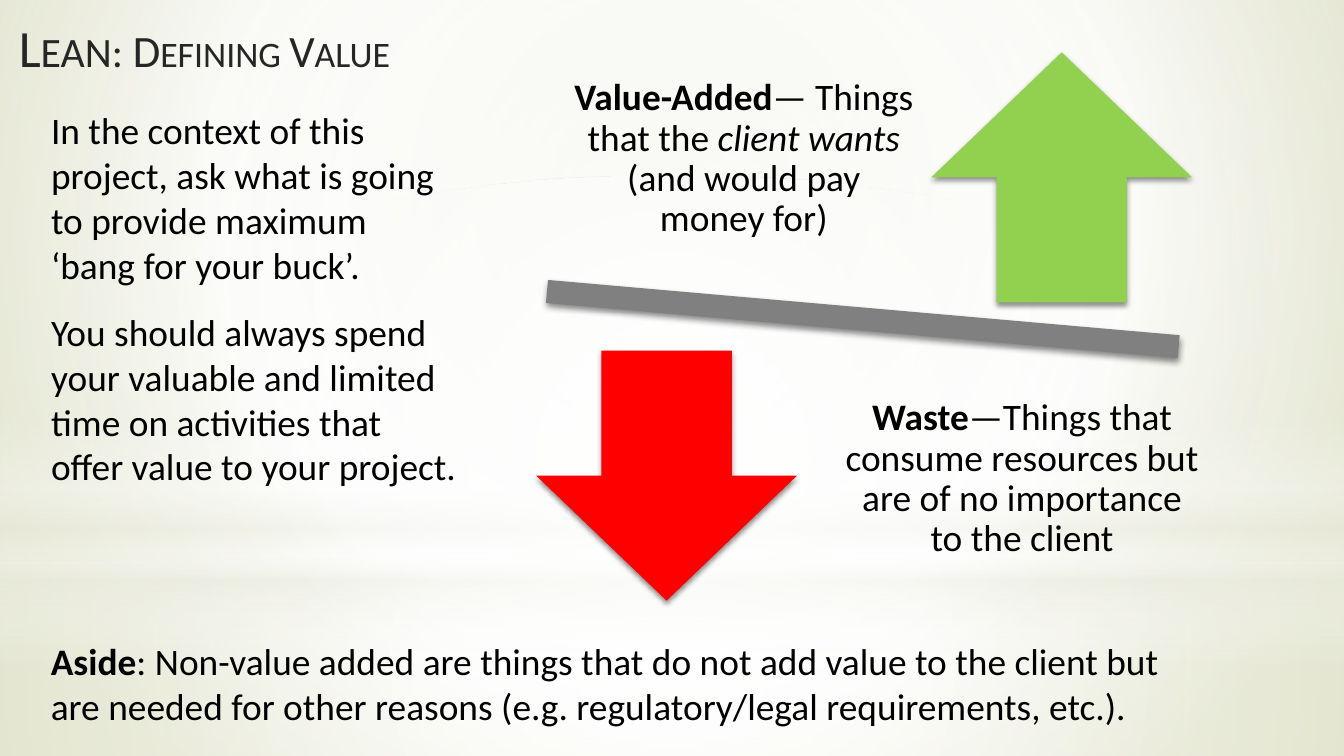
from lxml.etree import SubElement
from pptx import Presentation
from pptx.dml.color import RGBColor
from pptx.enum.shapes import MSO_SHAPE
from pptx.enum.text import MSO_ANCHOR, MSO_AUTO_SIZE, PP_ALIGN
from pptx.oxml.ns import qn
from pptx.util import Inches, Pt

COLORS = {
    "text": "000000", "title": "262626", "white": "FFFFFF", "mist": "EAEBDE",
    "sage": "E3E5D1", "olive": "CCD09F", "beam": "808080",
    "value": "92D050", "waste": "FF0000",
}
FONT = "Calibri"


def set_gradient(fill, owner, stops, focus=None):
    fill.gradient()
    gradient = owner.find(".//" + qn("a:gradFill"))
    for child in list(gradient):
        gradient.remove(child)
    stop_list = SubElement(gradient, qn("a:gsLst"))
    for position, color, opacity in stops:
        stop = SubElement(stop_list, qn("a:gs"), pos=str(position * 1000))
        rgb = SubElement(stop, qn("a:srgbClr"), val=COLORS[color])
        SubElement(rgb, qn("a:alpha"), val=str(opacity * 1000))
    if focus:
        circle = SubElement(gradient, qn("a:path"), path="circle")
        edges = {side: str(inset * 1000) for side, inset in zip("ltrb", focus)}
        SubElement(circle, qn("a:fillToRect"), **edges)
    else:
        SubElement(gradient, qn("a:lin"), ang="5400000", scaled="0")


def write_runs(paragraph, runs, color="text"):
    for text, size, bold, italic in runs:
        run = paragraph.add_run()
        run.text = text
        run.font.name = FONT
        run.font.size = Pt(size)
        run.font.bold = bold
        run.font.italic = italic
        run.font.color.rgb = RGBColor.from_string(COLORS[color])


prs = Presentation()
prs.slide_width = Inches(10)
prs.slide_height = prs.slide_width * 9 // 16
layout = prs.slide_layouts[1]
slide = prs.slides.add_slide(layout)

set_gradient(slide.background.fill, slide.element,
             [(0, "sage", 100), (60, "white", 100), (100, "olive", 100)], (20, 10, 20, 60))

center = (50, 50, 50, 50)
glows = [
    (MSO_SHAPE.RECTANGLE, 4.19, 1.44, center,
     [(0, "white", 91), (37, "white", 76), (100, "mist", 79)]),
    (MSO_SHAPE.RECTANGLE, 0, 4.19, center,
     [(0, "white", 89), (48, "white", 62), (100, "mist", 79)]),
    (MSO_SHAPE.RECTANGLE, 3.09, 1.88, None,
     [(0, "white", 0), (29, "white", 30), (45, "mist", 40),
      (55, "white", 26), (65, "mist", 60), (100, "white", 0)]),
    (MSO_SHAPE.OVAL, 1.31, 4.19, center, [(0, "white", 100), (56, "white", 0)]),
]
for order, (outline, top, height, focus, stops) in enumerate(glows):
    glow = slide.shapes.add_shape(outline, 0, Inches(top), prs.slide_width, Inches(height))
    glow.shadow.inherit = False
    glow.line.fill.background()
    set_gradient(glow.fill, glow.element, stops, focus)
    layout.shapes.element.insert(2 + order, glow.element)

title = slide.shapes.title
title.left, title.top, title.width, title.height = map(Inches, (0.04, 0.06, 4.96, 0.63))
title.text_frame.vertical_anchor = MSO_ANCHOR.TOP
title.text_frame.auto_size = MSO_AUTO_SIZE.NONE
heading = title.text_frame.paragraphs[0]
heading.alignment = PP_ALIGN.LEFT
write_runs(heading, [("Lean: ", 28, False, False), ("Defining Value", 24, False, False)], "title")
for run in heading.runs:
    run._r.get_or_add_rPr().set("cap", "small")

advice = slide.placeholders[1]
advice.left, advice.top, advice.width, advice.height = map(Inches, (0.28, 0.75, 3.23, 2.96))
advice.text_frame.auto_size = MSO_AUTO_SIZE.SHAPE_TO_FIT_TEXT
advice.text_frame.text = (
    "In the context of this project, ask what is going to provide maximum ‘bang for your buck’.\n"
    "You should always spend your valuable and limited time on activities that offer value to your project."
)
for paragraph, gap in zip(advice.text_frame.paragraphs, (0, 12)):
    properties = paragraph._p.get_or_add_pPr()
    properties.set("marL", "0")
    properties.set("indent", "0")
    SubElement(properties, qn("a:buNone"))
    paragraph.space_before = Pt(gap)
    paragraph.font.name = FONT
    paragraph.font.size = Pt(20)
    paragraph.font.color.rgb = RGBColor.from_string(COLORS["text"])

balance = [
    (MSO_SHAPE.MATH_MINUS, (3.21, 2.01, 6.42, 0.73), "beam", 5),
    (MSO_SHAPE.UP_ARROW, (6.93, 0.39, 1.94, 1.86), "value", 0),
    (MSO_SHAPE.DOWN_ARROW, (3.99, 2.61, 1.94, 1.86), "waste", 0),
]
for outline, box, color, tilt in balance:
    part = slide.shapes.add_shape(outline, *map(Inches, box))
    part.rotation = tilt
    part.fill.solid()
    part.fill.fore_color.rgb = RGBColor.from_string(COLORS[color])
    part.line.fill.background()
    part.shadow.inherit = False
    shadow = SubElement(part.element.spPr.find(qn("a:effectLst")), qn("a:outerShdw"),
                        blurRad=str(Pt(3.1)), dist=str(Pt(1.8)), dir="5400000", rotWithShape="0")
    shade = SubElement(shadow, qn("a:srgbClr"), val=COLORS["text"])
    SubElement(shade, qn("a:alpha"), val="45000")

definitions = [
    ((4.11, 0.21, 2.85, 1.95),
     [("Value-Added", 20, True, False), ("— Things that the ", 20, False, False),
      ("client wants ", 20, False, True), ("(and would pay money for)", 20, False, False)]),
    ((6.12, 2.59, 2.97, 1.95),
     [("Waste", 20, True, False),
      ("—Things that consume resources but are of no importance to the client", 20, False, False)]),
]
for box, runs in definitions:
    frame = slide.shapes.add_textbox(*map(Inches, box)).text_frame
    frame.word_wrap = True
    frame.vertical_anchor = MSO_ANCHOR.MIDDLE
    frame.margin_left = frame.margin_right = frame.margin_top = frame.margin_bottom = Inches(0.16)
    definition = frame.paragraphs[0]
    definition.alignment = PP_ALIGN.CENTER
    definition.line_spacing = 0.9
    definition.space_after = Pt(7)
    write_runs(definition, runs)

aside = slide.shapes.add_textbox(Inches(0.28), Inches(4.7), Inches(8.74), Inches(0.77)).text_frame
aside.word_wrap = True
aside.auto_size = MSO_AUTO_SIZE.SHAPE_TO_FIT_TEXT
write_runs(aside.paragraphs[0], [
    ("Aside", 20, True, False),
    (": Non-value added are things that do not add value to the client but are needed for "
     "other reasons (e.g. regulatory/legal requirements, etc.).", 20, False, False),
])

prs.save("out.pptx")
